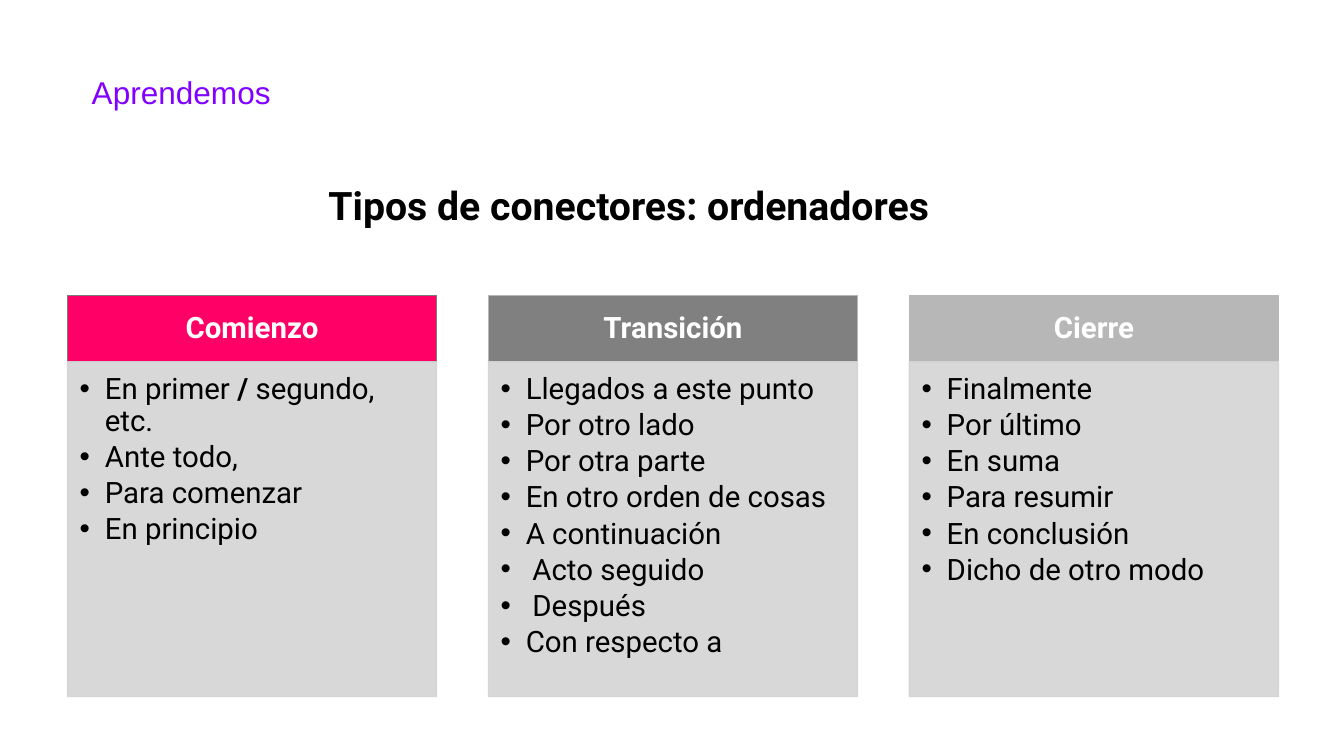
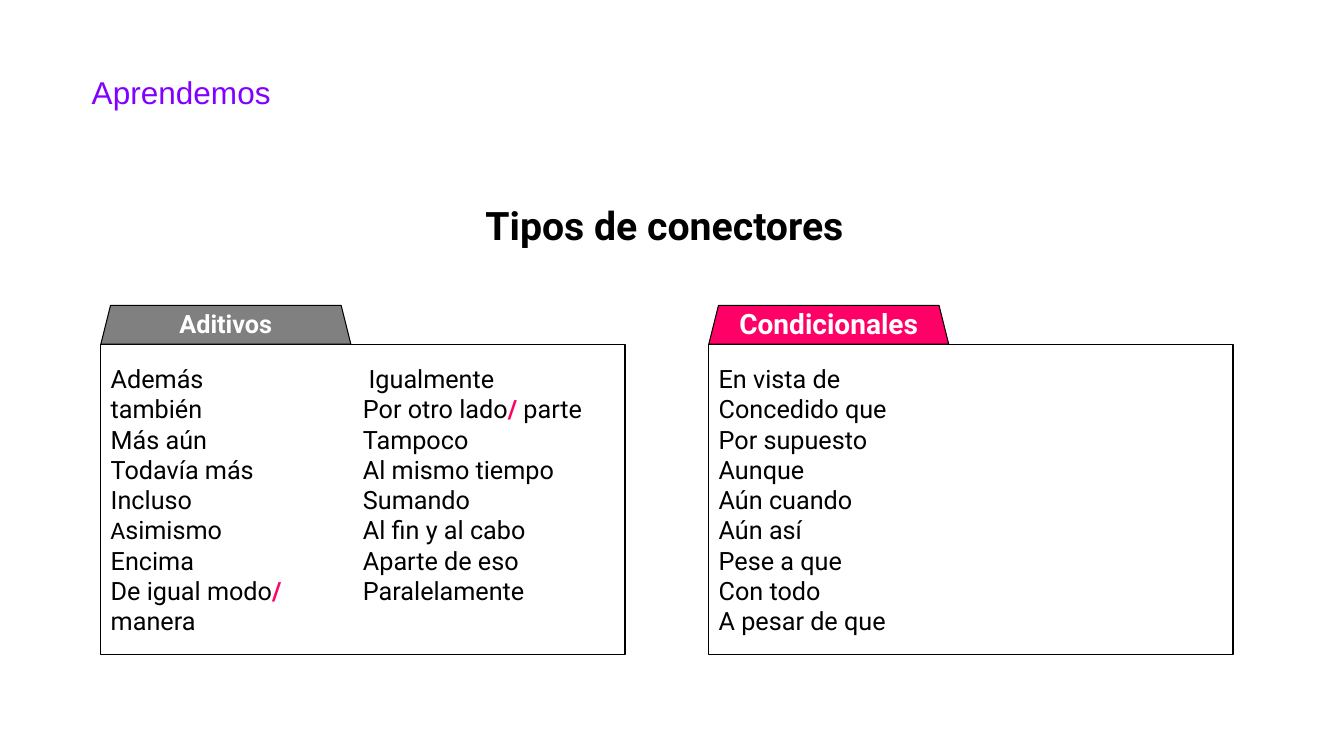
from pptx import Presentation, util as u
from pptx.dml.color import RGBColor
from pptx.enum import shapes, text
from pptx.oxml.ns import qn
from lxml import etree

THEME = dict(
    violet="8200FF", pink="FF0066", grey="808080", pale="B7B7B7",
    edge="7A7A7A", panel="D4D4D4", black="000000", white="FFFFFF",
    font="Roboto", label="Arial", alt="Calibri",
    title=22.5, head=28, card=21, list=18, tab=20,
)
SIZE = 13.33, 7.5
LABEL = "Aprendemos"

CARDS = [
    ("Comienzo", "pink", "edge", [
        [("En primer ", ""), ("/", "bold"), (" segundo, etc.", "")],
        "Ante todo,", "Para comenzar", "En principio"]),
    ("Transición", "grey", "pale", [
        "Llegados a este punto", "Por otro lado", "Por otra parte",
        "En otro orden de cosas", "A continuación",
        [(" ", "alt"), ("Acto seguido", "")],
        [(" ", "alt"), ("Después", "")],
        "Con respecto a"]),
    ("Cierre", "pale", "pale", [
        "Finalmente", "Por último", "En suma", "Para resumir",
        "En conclusión", "Dicho de otro modo"]),
]

FOLDERS = [
    ("Aditivos", "grey", "list", 1, 2.48, [
        "Además", "también", "Más aún", "Todavía más", "Incluso",
        [("A", "alt"), ("simismo", "")],
        "Encima",
        [("De igual modo", ""), ("/ ", "pink"), ("manera", "")],
        [(" ", "alt"), ("Igualmente", "")],
        [("Por otro lado", ""), ("/", "pink"), (" parte", "")],
        "Tampoco", "Al mismo tiempo", "Sumando", "Al fin y al cabo",
        "Aparte de eso", "Paralelamente"]),
    ("Condicionales", "pink", "tab", 7.03, 2.38, [
        "En vista de", "Concedido que", "Por supuesto", "Aunque",
        "Aún cuando", "Aún así", "Pese a que", "Con todo",
        "A pesar de que"]),
]

ALIGN = text.PP_ALIGN
ANCHOR = text.MSO_ANCHOR
KIND = shapes.MSO_SHAPE


def color(name):
    return RGBColor.from_string(THEME[name])


def bullet(para):
    props = para._p.get_or_add_pPr()
    props.set("marL", str(u.Inches(0.25)))
    props.set("indent", str(-u.Inches(0.25)))
    font = etree.SubElement(props, qn("a:buFont"))
    font.set("typeface", THEME["label"])
    etree.SubElement(props, qn("a:buChar")).set("char", "•")


def write(shape, lines, size, ink="black", bold=False, font="font",
          align=ALIGN.LEFT, anchor=ANCHOR.MIDDLE, pad=(0.1, 0.05, 0.1, 0.05),
          lead=1.0, after=0, dots=False):
    frame = shape.text_frame
    frame.word_wrap = True
    frame.auto_size = text.MSO_AUTO_SIZE.NONE
    frame.vertical_anchor = anchor
    (frame.margin_left, frame.margin_top,
     frame.margin_right, frame.margin_bottom) = map(u.Inches, pad)
    for i, line in enumerate(lines):
        para = frame.add_paragraph() if i else frame.paragraphs[0]
        if dots:
            bullet(para)
        para.alignment = align
        para.line_spacing = lead
        para.space_before = u.Pt(0)
        para.space_after = u.Pt(after)
        for words, mark in [(line, "")] if isinstance(line, str) else line:
            run = para.add_run()
            run.text = words
            run.font.name = THEME["alt" if mark == "alt" else font]
            run.font.size = u.Pt(THEME[size])
            run.font.bold = bold or mark in ("bold", "pink")
            run.font.color.rgb = color("pink" if mark == "pink" else ink)


def block(slide, kind, box, fill, edge, width=1):
    shape = slide.shapes.add_shape(kind, *map(u.Inches, box))
    shape.shadow.inherit = False
    shape.fill.solid()
    shape.fill.fore_color.rgb = color(fill)
    shape.line.color.rgb = color(edge)
    shape.line.width = u.Pt(width)
    return shape


def fade(shape, share):
    for tint in shape._element.spPr.iter(qn("a:srgbClr")):
        etree.SubElement(tint, qn("a:alpha")).set("val", str(share * 1000))


def start(deck, head, box, lead):
    slide = deck.slides.add_slide(deck.slide_layouts[5])
    title = slide.shapes.title
    title.left, title.top, title.width, title.height = map(
        u.Inches, (0.81, 0.73, 11.73, 0.42))
    write(title, [LABEL], "title", "violet", font="label", lead=0.9)
    area = slide.shapes.add_textbox(*map(u.Inches, box))
    write(area, [head], "head", bold=True, align=ALIGN.CENTER, lead=lead)
    return slide


def cards(deck):
    slide = start(deck, "Tipos de conectores: ordenadores",
                  (2.9, 1.75, 6.67, 0.57), 1.0)
    left, right, wide, top, cap, tall = 0.67, 12.68, 3.66, 2.93, 0.66, 3.32
    step = (right - left - wide) / (len(CARDS) - 1)
    for i, (name, fill, edge, lines) in enumerate(CARDS):
        x = left + i * step
        head = block(slide, KIND.RECTANGLE, (x, top, wide, cap), fill, edge)
        write(head, [name], "card", "white", True, align=ALIGN.CENTER,
              pad=(0.16, 0.09, 0.16, 0.09), lead=0.9)
        body = block(slide, KIND.RECTANGLE, (x, top + cap, wide, tall),
                     "panel", "panel")
        fade(body, 90)
        write(body, lines, "card", anchor=ANCHOR.TOP,
              pad=(0.12, 0.12, 0.16, 0.18), lead=0.9, after=3.15, dots=True)


def folders(deck):
    slide = start(deck, "Tipos de conectores", (0.81, 1.73, 11.56, 1.06), 0.9)
    top, cap, wide, tall = 3.03, 0.385, 5.2, 3.08
    for name, fill, size, x, span, lines in FOLDERS:
        body = block(slide, KIND.RECTANGLE, (x, top + cap, wide, tall),
                     "white", "black")
        write(body, lines, "list")
        body.text_frame._txBody.bodyPr.set("numCol", "2")
        tab = block(slide, KIND.TRAPEZOID, (x, top, span, cap),
                    fill, "black", 0.75)
        write(tab, [name], size, "white", True, align=ALIGN.CENTER,
              pad=(0.14, 0.08, 0.14, 0.08), lead=0.9)


def main():
    deck = Presentation()
    deck.slide_width, deck.slide_height = map(u.Inches, SIZE)
    cards(deck)
    folders(deck)
    deck.save("out.pptx")


if __name__ == "__main__":
    main()
